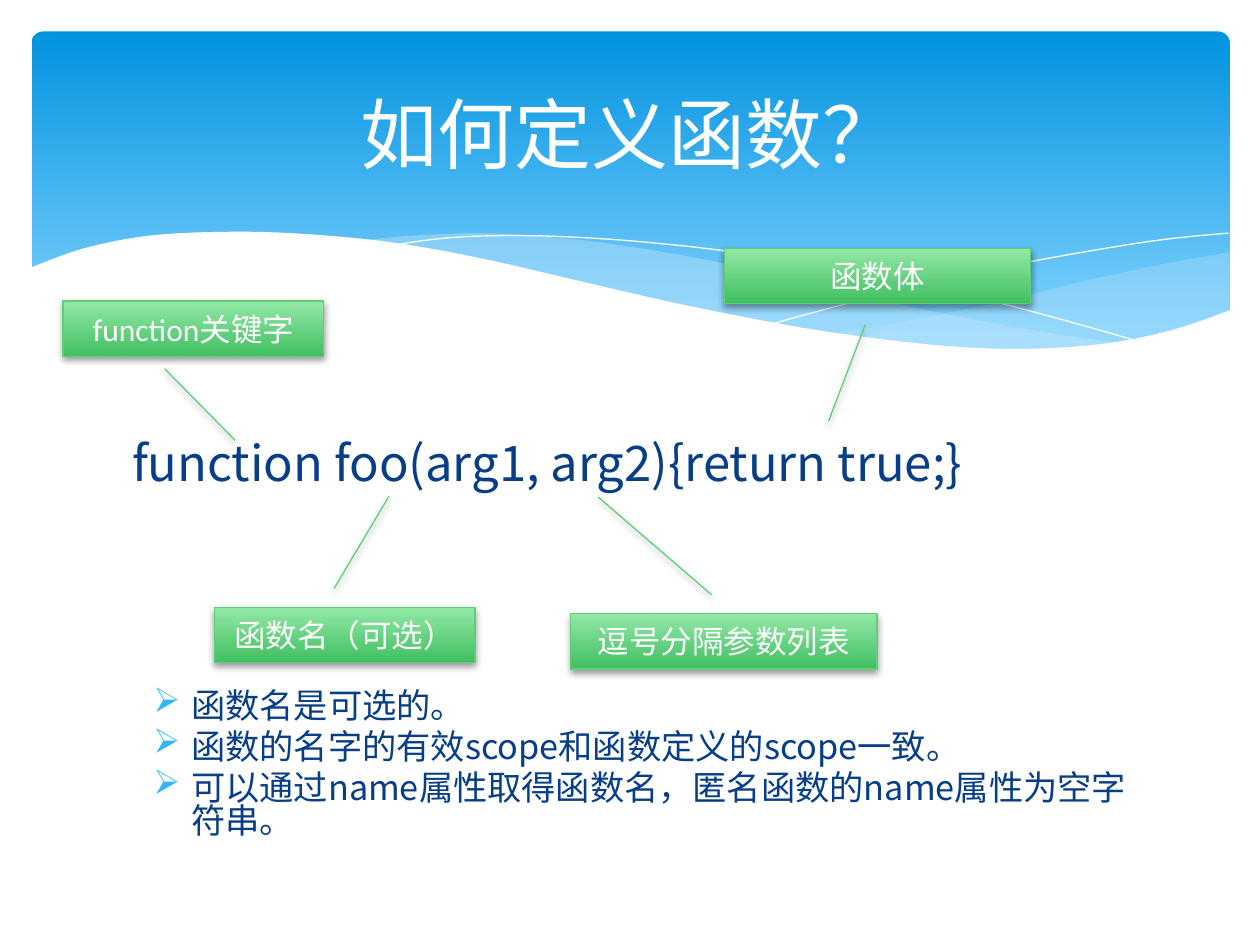
from dataclasses import dataclass

from lxml.etree import SubElement
from pptx import Presentation
from pptx.dml.color import RGBColor
from pptx.enum.shapes import MSO_SHAPE
from pptx.enum.text import MSO_ANCHOR, PP_ALIGN
from pptx.oxml.ns import qn
from pptx.util import Inches, Pt

COLORS = {
    "white": "FFFFFF", "navy": "073E87", "bullet": "31B6FD", "wave": "C6E7FC",
    "sky_top": "0293E0", "sky_bottom": "83D3FE",
    "green_top": "92E8A6", "green_bottom": "41BF60", "green_line": "5BD078",
}
CJK_FONT = "Noto Sans CJK SC"
LATIN_FONT = "Calibri"
CURVE_STEPS = 5

Points = list[tuple[float, float]]


@dataclass
class Callout:
    label: str
    left: float
    top: float
    width: float
    pointer: tuple[float, float, float, float]


@dataclass
class Wave:
    edges: list[Points]
    opacity: int | None = None


CALLOUTS = [
    Callout("function关键字", 0.5, 2.39, 2.07, (1.22, 0.39, 2.51, 0.66)),
    Callout("函数名（可选）", 1.7, 4.82, 2.07, (-0.34, 0.46, -2, 0.67)),
    Callout("逗号分隔参数列表", 4.53, 4.87, 2.43, (-0.34, 0.46, -2.1, 0.09)),
    Callout("函数体", 5.75, 1.97, 2.43, (1.38, 0.46, 3.12, 0.34)),
]

WAVES = [
    Wave([[(9.76, 2), (9.21, 2.1), (8.61, 2.23), (8.05, 2.37), (7.29, 2.53), (6.61, 2.65)],
          [(6.61, 2.65), (7.19, 2.72), (7.69, 2.77), (8.24, 2.77), (8.72, 2.74),
           (9.21, 2.65), (9.76, 2.47)]], 29),
    Wave([[(8.93, 2.73), (8.37, 2.65), (7.75, 2.54), (7.06, 2.4), (6.29, 2.22),
           (5.69, 2.08), (5.14, 1.98), (4.65, 1.91), (4.2, 1.87), (3.8, 1.85),
           (3.28, 1.87), (2.86, 1.91)],
          [(2.86, 1.91), (3.42, 1.99), (4.04, 2.11), (4.49, 2.22), (5.3, 2.4),
           (6.01, 2.55), (6.65, 2.66), (7.22, 2.74), (7.73, 2.77), (8.28, 2.78),
           (8.93, 2.73)]], 40),
    Wave([[(3.09, 1.95), (3.53, 1.89), (4.01, 1.87), (4.5, 1.88), (5.1, 1.92),
           (5.82, 2), (6.65, 2.13), (7.27, 2.26), (7.95, 2.41), (8.69, 2.61), (9.07, 2.72)]]),
    Wave([[(6.13, 2.57), (6.72, 2.41), (7.48, 2.23), (8.06, 2.1), (8.66, 1.99),
           (9.24, 1.9), (9.75, 1.85)]]),
    Wave([[(9.77, 2.46), (9.3, 2.62), (8.75, 2.73), (8.09, 2.77), (7.44, 2.74),
           (6.68, 2.65), (6.03, 2.54), (5.29, 2.39), (4.47, 2.2), (3.91, 2.07),
           (3.4, 1.97), (2.92, 1.9), (2.3, 1.85), (1.77, 1.84), (1.19, 1.87),
           (0.67, 1.97), (0.23, 2.13)], [(0.23, 3.29), (9.77, 3.29)]], 100),
]

NOTES = [
    "函数名是可选的。",
    "函数的名字的有效scope和函数定义的scope一致。",
    "可以通过name属性取得函数名，匿名函数的name属性为空字符串。",
]


def rgb(name: str) -> RGBColor:
    return RGBColor.from_string(COLORS[name])


def smooth(knots: Points) -> Points:
    """Return a Catmull-Rom curve through the knots; two knots stay a line."""
    if len(knots) == 2:
        return knots
    padded = [knots[0], *knots, knots[-1]]
    curve = [knots[0]]
    for a, b, c, d in zip(padded, padded[1:], padded[2:], padded[3:]):
        for step in range(1, CURVE_STEPS + 1):
            t = step / CURVE_STEPS
            x, y = (
                (2 * q + (r - p) * t + (2 * p - 5 * q + 4 * r - s) * t**2
                 + (3 * q - p - 3 * r + s) * t**3) / 2
                for p, q, r, s in zip(a, b, c, d)
            )
            curve.append((x, y))
    return curve


def fill_gradient(shape, top: str, bottom: str, end: float = 1) -> None:
    shape.fill.gradient()
    shape.fill.gradient_angle = 270
    for stop, name, position in zip(shape.fill.gradient_stops, (top, bottom), (0, end)):
        stop.color.rgb = rgb(name)
        stop.position = position


def add_wave(slide, wave: Wave) -> None:
    """Draw a filled band, or an open hairline when no opacity is given."""
    filled = wave.opacity is not None
    points = [(Inches(x), Inches(y)) for edge in wave.edges for x, y in smooth(edge)]
    builder = slide.shapes.build_freeform(*points[0])
    builder.add_line_segments(points[1:], close=filled)
    band = builder.convert_to_shape()
    band.shadow.inherit = False
    if not filled:
        band.fill.background()
        band.line.color.rgb = rgb("white")
        band.line.width = 0
        return
    band.line.fill.background()
    band.fill.solid()
    band.fill.fore_color.rgb = rgb("white" if wave.opacity == 100 else "wave")
    if wave.opacity < 100:
        color = band.fill._xPr.find(qn("a:solidFill"))[0]
        SubElement(color, qn("a:alpha"), val=str(wave.opacity * 1000))


def style_paragraph(paragraph, size: float, color: str, latin: str = CJK_FONT) -> None:
    for run in paragraph.runs:
        run.font.size = Pt(size)
        run.font.color.rgb = rgb(color)
        run.font.name = latin
        SubElement(run.font._element, qn("a:ea"), typeface=CJK_FONT)


def add_text(slide, left: float, top: float, width: float, height: float,
             text: str, size: float, color: str):
    box = slide.shapes.add_textbox(Inches(left), Inches(top), Inches(width), Inches(height))
    frame = box.text_frame
    frame.word_wrap = True
    frame.text = text
    for paragraph in frame.paragraphs:
        style_paragraph(paragraph, size, color)
    return frame


def add_bullet(paragraph) -> None:
    paragraph.space_before = Pt(4)
    paragraph.line_spacing = 0.82
    properties = paragraph._p.get_or_add_pPr()
    properties.set("marL", str(Inches(0.3)))
    properties.set("indent", str(Inches(-0.3)))
    SubElement(SubElement(properties, qn("a:buClr")), qn("a:srgbClr"), val=COLORS["bullet"])
    SubElement(properties, qn("a:buChar"), char="➢")


def add_callout(slide, callout: Callout) -> None:
    box = slide.shapes.add_shape(
        MSO_SHAPE.LINE_CALLOUT_1, Inches(callout.left), Inches(callout.top),
        Inches(callout.width), Inches(0.44))
    for index, value in enumerate(callout.pointer):
        box.adjustments[index] = value
    fill_gradient(box, "green_top", "green_bottom")
    box.line.color.rgb = rgb("green_line")
    box.line.width = Pt(0.75)
    box.shadow.inherit = False
    effects = box._element.spPr.find(qn("a:effectLst"))
    shadow = SubElement(effects, qn("a:outerShdw"), blurRad=str(Pt(4)), dist=str(Pt(2)),
                        dir="5400000", rotWithShape="0")
    shade = SubElement(shadow, qn("a:srgbClr"), val="000000")
    SubElement(shade, qn("a:alpha"), val="38000")
    box.text_frame.text = callout.label
    box.text_frame.vertical_anchor = MSO_ANCHOR.MIDDLE
    label = box.text_frame.paragraphs[0]
    label.alignment = PP_ALIGN.CENTER
    style_paragraph(label, 18, "white", LATIN_FONT)


def main() -> None:
    deck = Presentation()
    deck.slide_width, deck.slide_height = Inches(10), Inches(7.5)
    slide = deck.slides.add_slide(deck.slide_layouts[6])

    sky = slide.shapes.add_shape(
        MSO_SHAPE.ROUNDED_RECTANGLE, Inches(0.25), Inches(0.25), Inches(9.51), Inches(2.7))
    sky.adjustments[0] = 0.034
    fill_gradient(sky, "sky_top", "sky_bottom", 0.9)
    sky.line.fill.background()
    sky.shadow.inherit = False
    for wave in WAVES:
        add_wave(slide, wave)

    add_text(slide, 0.95, 3.38, 8.1, 0.93, "function foo(arg1, arg2){return true;}", 28, "navy")
    title = add_text(slide, 0.5, 0.37, 9, 1.37, "如何定义函数？", 44, "white")
    title.vertical_anchor = MSO_ANCHOR.MIDDLE
    title.paragraphs[0].alignment = PP_ALIGN.CENTER
    for callout in CALLOUTS:
        add_callout(slide, callout)
    notes = add_text(slide, 1.12, 5.44, 8.1, 1.35, "\n".join(NOTES), 19.6, "navy")
    for paragraph in notes.paragraphs:
        add_bullet(paragraph)

    deck.save("out.pptx")


if __name__ == "__main__":
    main()
